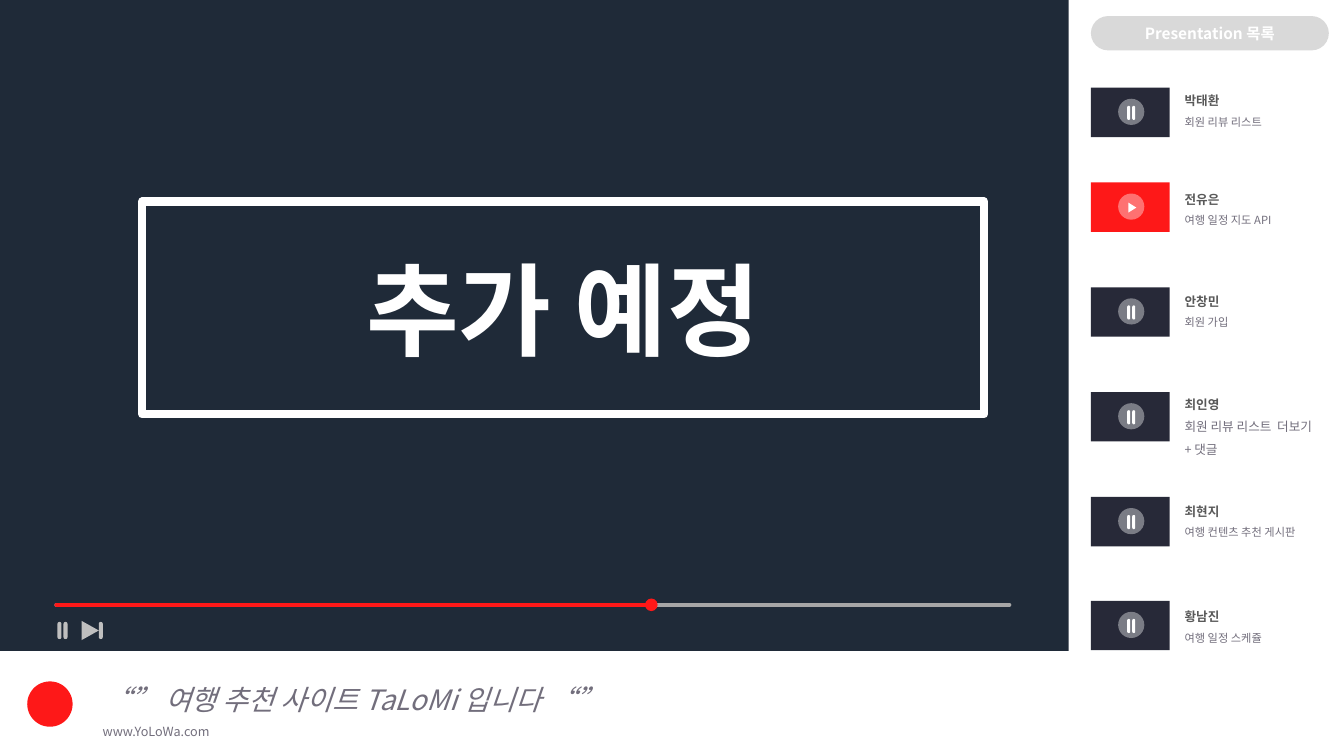
from dataclasses import dataclass

from lxml.etree import SubElement
from pptx import Presentation
from pptx.dml.color import RGBColor
from pptx.enum.shapes import MSO_CONNECTOR, MSO_SHAPE as Preset
from pptx.enum.text import MSO_ANCHOR, MSO_AUTO_SIZE, PP_ALIGN
from pptx.oxml.ns import qn
from pptx.shapes.autoshape import Shape
from pptx.shapes.connector import Connector
from pptx.text.text import TextFrame
from pptx.util import Inches, Pt

FONT = "Noto Sans CJK KR"
WIDTH, HEIGHT = 13.33, 7.5
SCREEN_RIGHT, SCREEN_BOTTOM = 10.6, 6.46
COLORS = {
    "background": "1F2A38", "white": "FFFFFF", "red": "FE1818",
    "thumbnail": "272938", "name": "595959", "body": "726E7C",
    "track": "A6A6A6", "control": "BFBFBF", "header": "D9D9D9",
}


@dataclass(frozen=True)
class Speaker:
    name: str
    topics: tuple[str, ...]
    thumbnail_top: float
    text_top: float
    topic_size: float = 8
    playing: bool = False


SPEAKERS = (
    Speaker("박태환", ("회원 리뷰 리스트",), 0.87, 0.8),
    Speaker("전유은", ("여행 일정 지도 API",), 1.81, 1.78, playing=True),
    Speaker("안창민", ("회원 가입",), 2.85, 2.79),
    Speaker("최인영", ("회원 리뷰 리스트  더보기", "+ 댓글"), 3.89, 3.81, topic_size=9),
    Speaker("최현지", ("여행 컨텐츠 추천 게시판",), 4.93, 4.87),
    Speaker("황남진", ("여행 일정 스케쥴",), 5.96, 5.92),
)


def color(key: str) -> RGBColor:
    return RGBColor.from_string(COLORS[key])


def style_shape(shape: Shape, fill: str | None) -> None:
    """Give a flat look: no shadow, no outline, solid or no fill."""
    shape.shadow.inherit = False
    shape.line.fill.background()
    if fill is None:
        shape.fill.background()
    else:
        shape.fill.solid()
        shape.fill.fore_color.rgb = color(fill)


def add_shape(shapes, preset: Preset, left: float, top: float, width: float,
              height: float, fill: str | None = None, *, alpha: int = 100,
              rotation: float = 0, adjustments: tuple[float, ...] = ()) -> Shape:
    shape = shapes.add_shape(preset, Inches(left), Inches(top),
                             Inches(width), Inches(height))
    style_shape(shape, fill)
    shape.rotation = rotation
    for index, value in enumerate(adjustments):
        shape.adjustments[index] = value
    if alpha < 100:
        rgb = shape._element.spPr.find(f"{qn('a:solidFill')}/{qn('a:srgbClr')}")
        SubElement(rgb, qn("a:alpha")).set("val", str(alpha * 1000))
    return shape


def add_page_frame(shapes) -> None:
    """Draw the white L that holds the playlist and the footer."""
    corners = ((WIDTH, 0), (WIDTH, HEIGHT), (0, HEIGHT),
               (0, SCREEN_BOTTOM), (SCREEN_RIGHT, SCREEN_BOTTOM))
    builder = shapes.build_freeform(Inches(SCREEN_RIGHT), 0)
    builder.add_line_segments([(Inches(x), Inches(y)) for x, y in corners], close=True)
    style_shape(builder.convert_to_shape(), "white")


def add_text(frame: TextFrame, text: str, *, size: float, fill: str,
             bold: bool = False, italic: bool = False,
             align: PP_ALIGN = PP_ALIGN.LEFT, spacing: float = 1) -> None:
    """Write one paragraph, using the empty first one when there is one."""
    paragraph = frame.paragraphs[0] if not frame.text else frame.add_paragraph()
    paragraph.alignment = align
    paragraph.line_spacing = spacing
    run = paragraph.add_run()
    run.text = text
    font = run.font
    font.size, font.bold, font.italic = Pt(size), bold, italic
    font.color.rgb = color(fill)
    font.name = FONT
    SubElement(run._r.get_or_add_rPr(), qn("a:ea")).set("typeface", FONT)


def add_text_box(shapes, left: float, top: float, width: float,
                 height: float) -> TextFrame:
    frame = shapes.add_textbox(Inches(left), Inches(top),
                               Inches(width), Inches(height)).text_frame
    frame.word_wrap = True
    frame.auto_size = MSO_AUTO_SIZE.SHAPE_TO_FIT_TEXT
    return frame


def add_label(shape: Shape, text: str, size: float) -> None:
    shape.text_frame.vertical_anchor = MSO_ANCHOR.MIDDLE
    add_text(shape.text_frame, text, size=size, fill="white", bold=True,
             align=PP_ALIGN.CENTER)


def add_progress_line(shapes, end: float, fill: str) -> Connector:
    line = shapes.add_connector(MSO_CONNECTOR.STRAIGHT, Inches(0.56), Inches(6),
                                Inches(end), Inches(6))
    line.line.color.rgb = color(fill)
    line.line.width = Pt(3)
    line.line._ln.set("cap", "rnd")
    SubElement(line._element.spPr, qn("a:effectLst"))
    return line


def add_pause(shapes, left: float, top: float, width: float, height: float,
              gap: float, fill: str) -> None:
    bars = shapes.add_group_shape().shapes
    for offset in (0, gap):
        add_shape(bars, Preset.ROUNDED_RECTANGLE, left + offset, top,
                  width, height, fill, adjustments=(0.5,))


def add_speaker(shapes, speaker: Speaker) -> None:
    top = speaker.thumbnail_top
    add_shape(shapes, Preset.RECTANGLE, 10.82, top, 0.78, 0.49,
              "red" if speaker.playing else "thumbnail")
    add_shape(shapes, Preset.OVAL, 11.09, top + 0.11, 0.26, 0.26, "white", alpha=39)
    if speaker.playing:
        add_shape(shapes, Preset.ISOSCELES_TRIANGLE, 11.18, top + 0.21, 0.1, 0.08,
                  "white", rotation=90)
    else:
        add_pause(shapes, 11.18, top + 0.18, 0.03, 0.14, 0.05, "white")
    height = 0.28 + 0.25 * len(speaker.topics)
    frame = add_text_box(shapes, 11.65, speaker.text_top, 1.72, height)
    add_text(frame, speaker.name, size=9, fill="name", bold=True, spacing=1.5)
    for topic in speaker.topics:
        add_text(frame, topic, size=speaker.topic_size, fill="body", spacing=1.5)


def add_player(shapes) -> None:
    add_progress_line(shapes, 10.01, "track")
    played = add_progress_line(shapes, 6.46, "red")
    SubElement(played.line._ln, qn("a:tailEnd")).set("type", "oval")
    add_pause(shapes, 0.57, 6.17, 0.04, 0.17, 0.06, "control")
    skip = shapes.add_group_shape().shapes
    add_shape(skip, Preset.ISOSCELES_TRIANGLE, 0.8, 6.17, 0.19, 0.17, "control",
              rotation=90)
    add_shape(skip, Preset.ROUNDED_RECTANGLE, 0.98, 6.17, 0.04, 0.17, "control",
              adjustments=(0.5,))


def add_footer(shapes) -> None:
    add_shape(shapes, Preset.OVAL, 0.27, 6.76, 0.45, 0.45, "red")
    frame = add_text_box(shapes, 0.92, 6.56, 5.67, 0.83)
    add_text(frame, "“” 여행 추천 사이트 TaLoMi 입니다 “”", size=20, fill="body",
             italic=True, spacing=1.5)
    add_text(frame, "www.YoLoWa.com", size=9, fill="body", spacing=1.5)


def main() -> None:
    presentation = Presentation()
    presentation.slide_width = Inches(WIDTH)
    presentation.slide_height = Inches(HEIGHT)
    slide = presentation.slides.add_slide(presentation.slide_layouts[6])
    slide.background.fill.solid()
    slide.background.fill.fore_color.rgb = color("background")
    shapes = slide.shapes

    add_page_frame(shapes)
    add_footer(shapes)
    add_player(shapes)

    header = add_shape(shapes, Preset.ROUNDED_RECTANGLE, 10.82, 0.16, 2.36, 0.34,
                       "header", adjustments=(0.5,))
    add_label(header, "Presentation 목록", 11)
    for speaker in SPEAKERS:
        add_speaker(shapes, speaker)

    title = add_shape(shapes, Preset.RECTANGLE, 1.41, 2, 8.35, 2.11)
    title.line.color.rgb = color("white")
    title.line.width = Pt(6)
    add_label(title, "추가 예정", 72)
    presentation.save("out.pptx")


if __name__ == "__main__":
    main()
